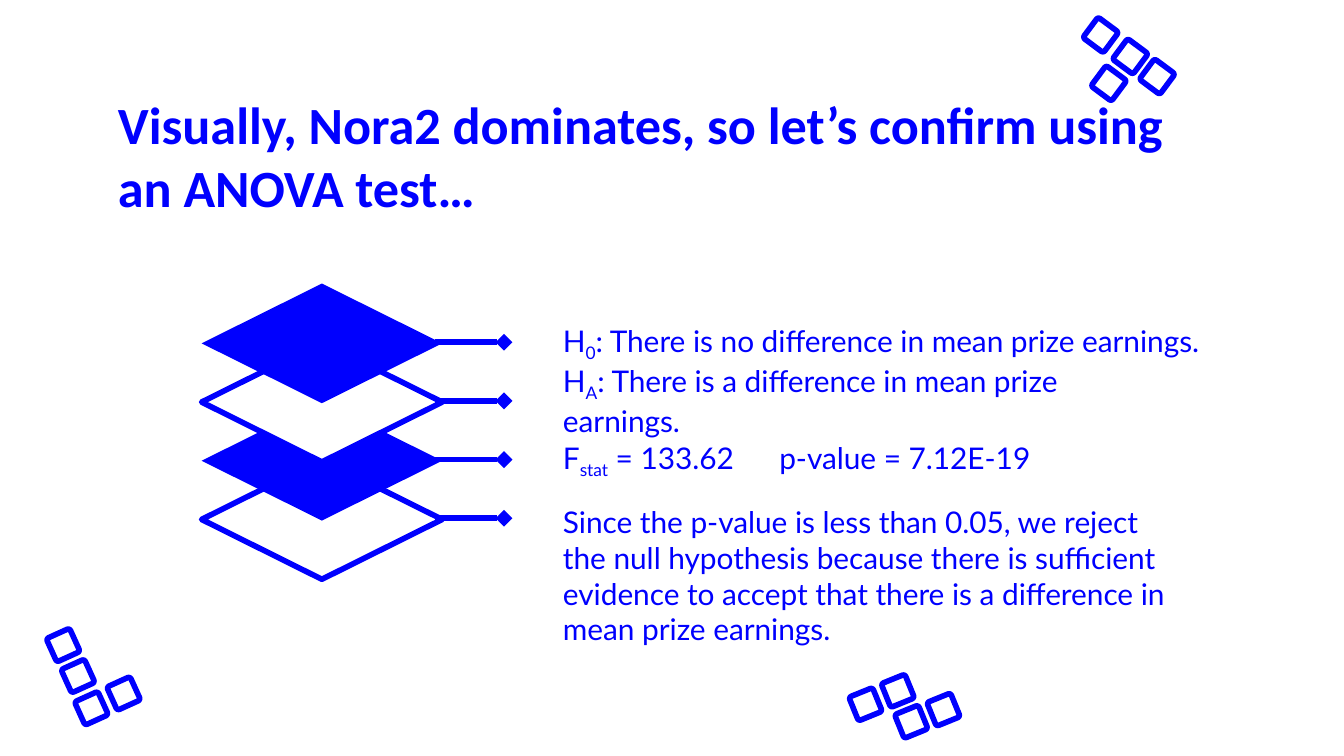
from lxml import etree
from pptx import Presentation
from pptx.dml.color import RGBColor
from pptx.enum.shapes import MSO_CONNECTOR, MSO_SHAPE as SHAPE
from pptx.enum.text import MSO_ANCHOR as ANCHOR
from pptx.oxml.ns import qn
from pptx.util import Inches, Pt

BLUE = RGBColor(0x00, 0x00, 0xFE)
WHITE = RGBColor(0xFF, 0xFF, 0xFF)

SQUARE = 0.19
LINE_WIDTH = Pt(3)

# Rotation and square centres of each corner ornament
ORNAMENTS = [
    (337.9, [(6.68, 5.14), (6.78, 5.37), (7.02, 5.28), (6.44, 5.24)]),
    (216.6, [(8.25, 0.62), (8.41, 0.42), (8.19, 0.26), (8.61, 0.57)]),
    (335.6, [(0.58, 5.03), (0.47, 4.8), (0.68, 5.27), (0.92, 5.16)]),
]

# Left, top, width, height and (text, is_subscript) pieces
STATEMENTS = [
    (4.09, 2.35, 5.29, 0.4, [("H", False), ("0", True),
     (": There is no difference in mean prize earnings.", False)]),
    (4.09, 2.78, 4.79, 0.4, [("H", False), ("A", True),
     (": There is a difference in mean prize earnings.", False)]),
    (4.09, 3.22, 4.79, 0.4, [("F", False), ("stat", True),
     (" = 133.62\tp-value = 7.12E-19", False)]),
    (4.09, 3.77, 4.79, 1.02, [
        ("Since the p-value is less than 0.05, we reject the null hypothesis "
         "because there is sufficient evidence to accept that there is a "
         "difference in mean prize earnings.", False)]),
]
P_VALUE_TAB = 1.61

LAYER_LEFT, LAYER_TOP = 1.5, 2.11
LAYER_WIDTH, LAYER_HEIGHT = 1.79, 0.89
LAYER_STEP = 1.31 / 3
LAYER_COUNT = 4


def add_text(slide, left, top, width, height, pieces, font, size,
             bold=False, anchor=ANCHOR.MIDDLE):
    """Add a one-paragraph text box; pieces are (text, is_subscript)."""
    box = slide.shapes.add_textbox(Inches(left), Inches(top),
                                   Inches(width), Inches(height))
    tf = box.text_frame
    tf.word_wrap = True
    tf.vertical_anchor = anchor
    tf.margin_left = tf.margin_right = Inches(0.1)
    tf.margin_top = tf.margin_bottom = Inches(0.1)
    p = tf.paragraphs[0]
    for text, is_subscript in pieces:
        r = p.add_run()
        r.text = text
        r.font.name = font
        r.font.size = Pt(size)
        r.font.bold = bold
        r.font.color.rgb = BLUE
        if is_subscript:
            r._r.get_or_add_rPr().set("baseline", "-25000")
    return p


def add_tab_stop(p, position):
    tabs = etree.SubElement(p._p.get_or_add_pPr(), qn("a:tabLst"))
    etree.SubElement(tabs, qn("a:tab"), pos=str(Inches(position)), algn="l")


def round_joins(shape):
    etree.SubElement(shape.line._get_or_add_ln(), qn("a:round"))


def add_square(slide, x, y, rotation):
    """Add an open rounded square centred on x, y."""
    s = slide.shapes.add_shape(
        SHAPE.ROUNDED_RECTANGLE, Inches(x - SQUARE / 2),
        Inches(y - SQUARE / 2), Inches(SQUARE), Inches(SQUARE))
    s.adjustments[0] = 0.1
    s.rotation = rotation
    s.shadow.inherit = False
    s.fill.background()
    s.line.color.rgb = BLUE
    s.line.width = LINE_WIDTH


def add_layer(slide, top, solid):
    s = slide.shapes.add_shape(
        SHAPE.DIAMOND, Inches(LAYER_LEFT), Inches(top),
        Inches(LAYER_WIDTH), Inches(LAYER_HEIGHT))
    s.shadow.inherit = False
    s.fill.solid()
    s.fill.fore_color.rgb = BLUE if solid else WHITE
    if solid:
        s.line.fill.background()
    else:
        s.line.color.rgb = BLUE
        s.line.width = LINE_WIDTH
        round_joins(s)


def add_pointer(slide, y):
    """Add a line with a diamond end, leading from a layer to the text."""
    c = slide.shapes.add_connector(
        MSO_CONNECTOR.STRAIGHT, Inches(3.24), Inches(y), Inches(3.75), Inches(y))
    c.line.color.rgb = BLUE
    c.line.width = LINE_WIDTH
    round_joins(c)
    etree.SubElement(c.line._get_or_add_ln(), qn("a:tailEnd"),
                     type="diamond", w="med", len="med")
    etree.SubElement(c._element.spPr, qn("a:effectLst"))


def main():
    prs = Presentation()
    prs.slide_width = Inches(10)
    prs.slide_height = prs.slide_width * 9 // 16
    slide = prs.slides.add_slide(prs.slide_layouts[6])

    for rotation, centres in ORNAMENTS:
        for x, y in centres:
            add_square(slide, x, y, rotation)

    title = "Visually, Nora2 dominates, so let’s confirm using an ANOVA test…"
    add_text(slide, 0.78, 0.59, 8.44, 0.63, [(title, False)], "Calibri", 28,
             bold=True, anchor=ANCHOR.TOP)

    for left, top, width, height, pieces in STATEMENTS:
        p = add_text(slide, left, top, width, height, pieces, "Lato", 16)
        if any("\t" in text for text, _ in pieces):
            add_tab_stop(p, P_VALUE_TAB)

    tops = [LAYER_TOP + i * LAYER_STEP for i in range(LAYER_COUNT)]
    for i, top in reversed(list(enumerate(tops))):
        add_layer(slide, top, solid=i % 2 == 0)
    for top in tops:
        add_pointer(slide, top + LAYER_STEP)

    prs.save("out.pptx")


if __name__ == "__main__":
    main()
